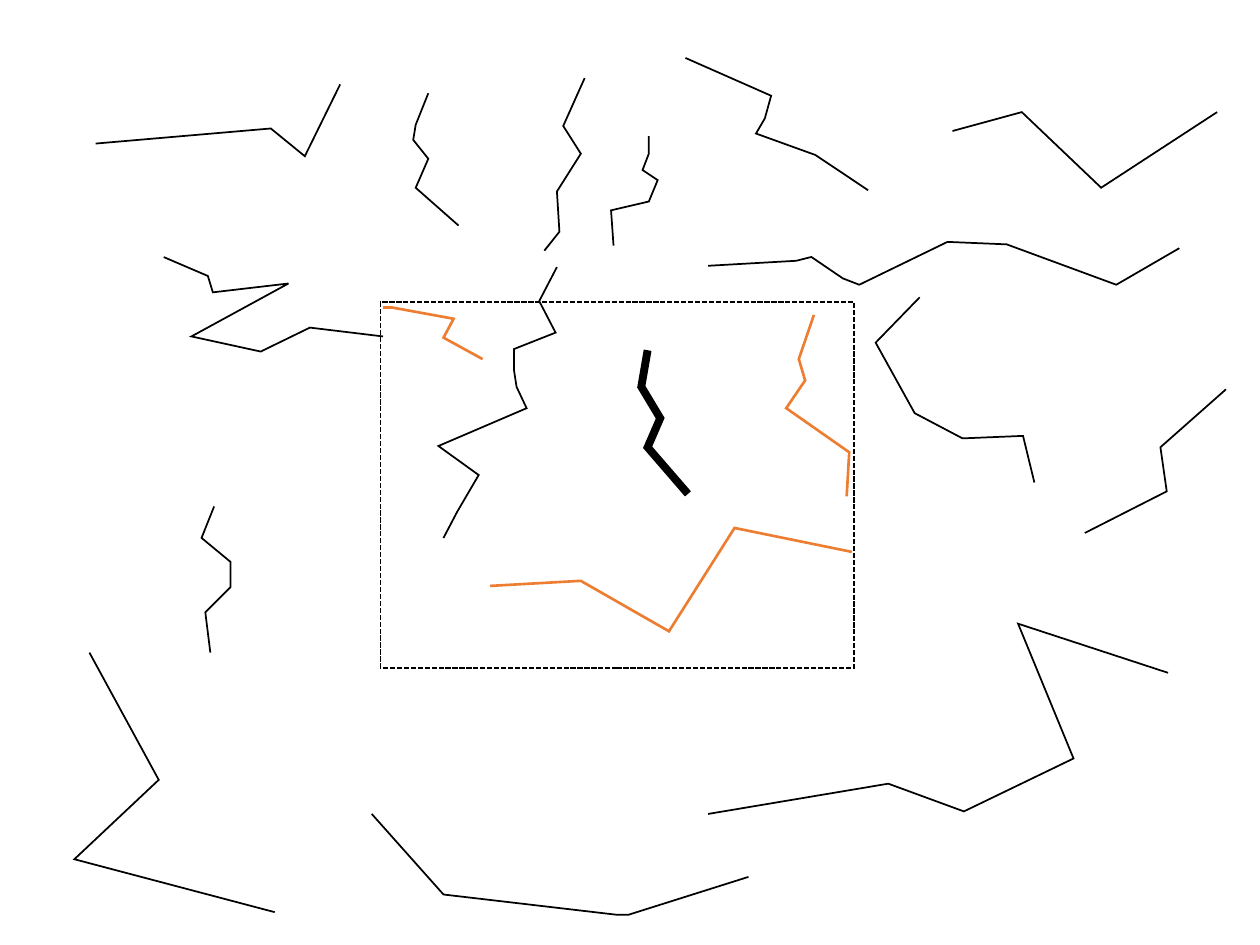
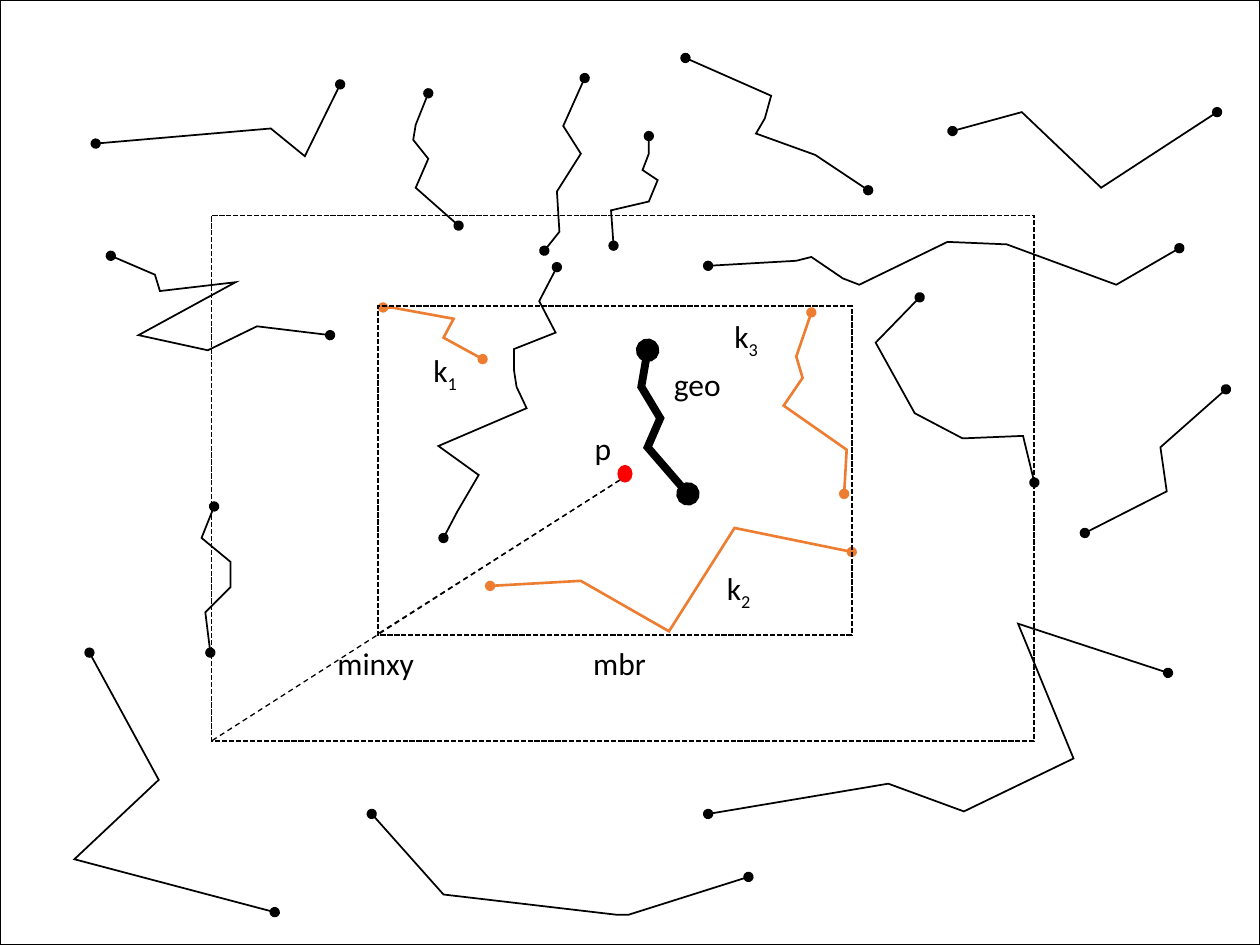
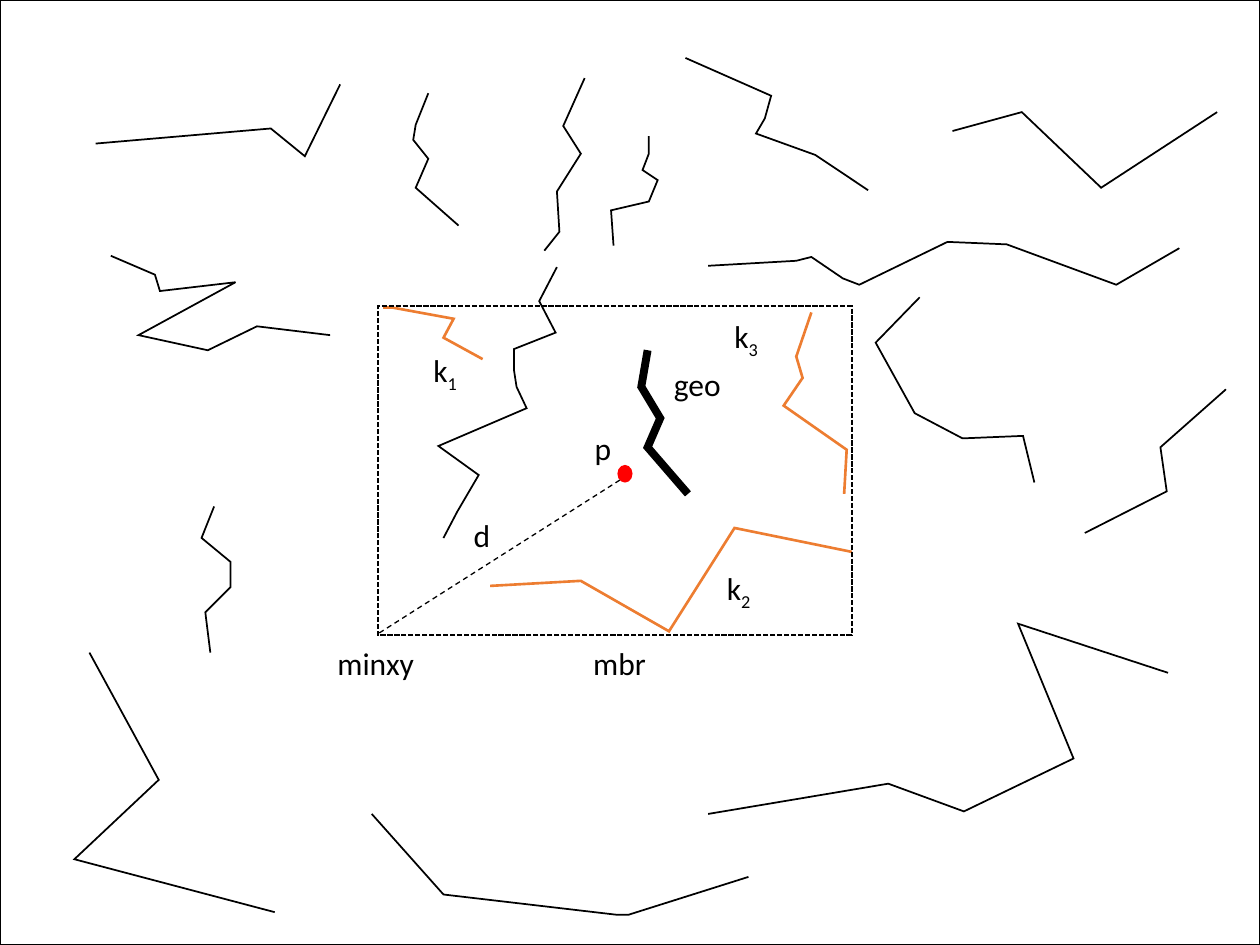
from lxml.etree import SubElement
from pptx import Presentation
from pptx.dml.color import RGBColor
from pptx.enum.dml import MSO_LINE
from pptx.enum.shapes import MSO_CONNECTOR, MSO_SHAPE
from pptx.enum.text import MSO_AUTO_SIZE
from pptx.oxml.ns import qn
from pptx.util import Pt

PX = 9144  # EMU per px, 100 px to the inch
PAGE = (0, 0, 1000, 750)
BLACK = RGBColor(0x00, 0x00, 0x00)
ORANGE = RGBColor(0xED, 0x7D, 0x31)
RED = RGBColor(0xFF, 0x00, 0x00)

# Geometries that are the same on every slide
OTHER_GEOMETRIES = [
    [(442, 212), (428, 239), (441, 264), (408, 277), (408, 294), (410, 307),
     (418, 324), (348, 354), (380, 377), (363, 406), (352, 427)],
    [(515, 108), (515, 122), (510, 135), (522, 143), (515, 160), (485, 167), (487, 195)],
    [(170, 402), (160, 427), (183, 446), (183, 466), (163, 486), (167, 518)],
    [(464, 62), (447, 100), (461, 122), (442, 152), (444, 184), (432, 199)],
    [(562, 211), (632, 207), (644, 204), (669, 221), (682, 226), (752, 192),
     (799, 194), (886, 226), (936, 197)],
    [(730, 236), (695, 272), (726, 328), (764, 348), (812, 346), (821, 383)],
    [(340, 74), (330, 99), (328, 111), (340, 126), (330, 149), (364, 179)],
    [(544, 46), (612, 76), (607, 94), (600, 106), (647, 123), (689, 151)],
    [(973, 309), (921, 355), (926, 390), (861, 423)],
    [(71, 518), (126, 619), (59, 682), (218, 724)],
    [(562, 646), (705, 622), (765, 644), (852, 602), (808, 495), (927, 534)],
    [(76, 114), (215, 102), (242, 124), (270, 67)],
    [(756, 104), (811, 89), (874, 149), (966, 89)],
    [(295, 646), (352, 710), (489, 726), (499, 726), (594, 696)],
]
NEIGHBOR_1 = [(304, 244), (311, 244), (360, 253), (352, 268), (383, 285)]
NEIGHBOR_2 = [(389, 465), (461, 461), (531, 501), (583, 419), (676, 438)]
GEO = [(514, 278), (509, 307), (524, 332), (514, 355), (546, 392)]

# Geometries that lie slightly elsewhere on the first slide
NEIGHBOR_3 = [(644, 248), (632, 283), (637, 300), (622, 322), (672, 357), (670, 392)]
LEFT_ZIGZAG = [(88, 203), (123, 218), (127, 231), (187, 224), (110, 266),
               (165, 278), (204, 259), (262, 266)]

# Search rectangles and the point p
FIRST_MBR = (302, 240, 376, 290)
MBR = (300, 243, 376, 261)
ENLARGED_MBR = (168, 171, 653, 417)
POINT_P = (490, 369, 12, 14)
DISTANCE_START = (492, 381)
MINXY = (300, 503)
ENLARGED_MINXY = (168, 588)

# Text, subscript, left, top, width
LABELS = [
    ("geo", "", 525, 285, 79),
    ("k", "2", 567, 447, 79),
    ("k", "1", 334, 274, 79),
    ("k", "3", 573, 247, 79),
    ("p", "", 462, 336, 79),
    ("mbr", "", 461, 506, 79),
    ("minxy", "", 258, 506, 100),
]
LABEL_HEIGHT = 40


def shift(points, right, down):
    return [(x + right, y + down) for x, y in points]


def scale(lengths):
    return [length * PX for length in lengths]


class Drawing:
    """Holds the presentation, its style and the current slide."""

    font_name = "Calibri"
    font_size = Pt(18)

    def __init__(self):
        self.presentation = Presentation()
        self.presentation.slide_width, self.presentation.slide_height = scale(PAGE[2:])
        self.slide = None

    def new_slide(self):
        blank_layout = self.presentation.slide_layouts[6]
        self.slide = self.presentation.slides.add_slide(blank_layout)

    def set_line(self, shape, color, width, dash=None, dots=False):
        shape.line.color.rgb = color
        shape.line.width = Pt(width)
        if dash:
            shape.line.dash_style = dash
        outline = shape._element.spPr.find(qn("a:ln"))
        SubElement(outline, qn("a:miter"), lim="800000")
        if dots:
            for end in ("a:headEnd", "a:tailEnd"):
                SubElement(outline, qn(end), type="oval")

    def polyline(self, points, color=BLACK, width=1, dots=False):
        builder = self.slide.shapes.build_freeform(*points[0], scale=PX)
        builder.add_line_segments(points[1:], close=False)
        shape = builder.convert_to_shape()
        shape.shadow.inherit = False
        shape.fill.background()
        self.set_line(shape, color, width, dots=dots)

    def rectangle(self, box, dash=None):
        shape = self.slide.shapes.add_shape(MSO_SHAPE.RECTANGLE, *scale(box))
        shape.shadow.inherit = False
        shape.fill.background()
        self.set_line(shape, BLACK, 1, dash)

    def point(self, box):
        shape = self.slide.shapes.add_shape(MSO_SHAPE.OVAL, *scale(box))
        shape.shadow.inherit = False
        shape.fill.solid()
        shape.fill.fore_color.rgb = RED
        shape.line.fill.background()

    def dashed_line(self, start, end):
        connector = self.slide.shapes.add_connector(
            MSO_CONNECTOR.STRAIGHT, *scale(start + end))
        self.set_line(connector, BLACK, 0.75, MSO_LINE.DASH)
        SubElement(connector._element.spPr, qn("a:effectLst"))

    def label(self, text, subscript, left, top, width):
        box = self.slide.shapes.add_textbox(*scale((left, top, width, LABEL_HEIGHT)))
        frame = box.text_frame
        frame.word_wrap = True
        frame.auto_size = MSO_AUTO_SIZE.SHAPE_TO_FIT_TEXT
        paragraph = frame.paragraphs[0]
        paragraph.font.name = self.font_name
        paragraph.font.size = self.font_size
        paragraph.font.color.rgb = BLACK
        paragraph.add_run().text = text
        if subscript:
            run = paragraph.add_run()
            run.text = subscript
            run._r.get_or_add_rPr().set("baseline", "-25000")

    def geometries(self, left_zigzag, neighbor_3, dots=False):
        for points in OTHER_GEOMETRIES + [left_zigzag]:
            self.polyline(points, dots=dots)
        for points in (NEIGHBOR_1, NEIGHBOR_2, neighbor_3):
            self.polyline(points, ORANGE, 1.5, dots)
        self.polyline(GEO, width=4.5, dots=dots)

    def annotations(self):
        self.rectangle(MBR, MSO_LINE.SQUARE_DOT)
        self.point(POINT_P)
        for label in LABELS:
            self.label(*label)
        self.dashed_line(DISTANCE_START, MINXY)
        self.rectangle(PAGE)


def main():
    drawing = Drawing()

    # Slide 1: geometries and the first rectangle
    drawing.new_slide()
    drawing.geometries(shift(LEFT_ZIGZAG, 42, 1), shift(NEIGHBOR_3, 2, 2))
    drawing.rectangle(FIRST_MBR, MSO_LINE.SQUARE_DOT)

    # Slide 2: end points and the enlarged rectangle
    drawing.new_slide()
    drawing.geometries(LEFT_ZIGZAG, NEIGHBOR_3, dots=True)
    drawing.annotations()
    drawing.rectangle(ENLARGED_MBR, MSO_LINE.SQUARE_DOT)
    drawing.dashed_line(DISTANCE_START, ENLARGED_MINXY)

    # Slide 3: distance d from p to the corner
    drawing.new_slide()
    drawing.geometries(LEFT_ZIGZAG, NEIGHBOR_3)
    drawing.annotations()
    drawing.label("d", "", 366, 405, 79)

    drawing.presentation.save("out.pptx")


if __name__ == "__main__":
    main()
